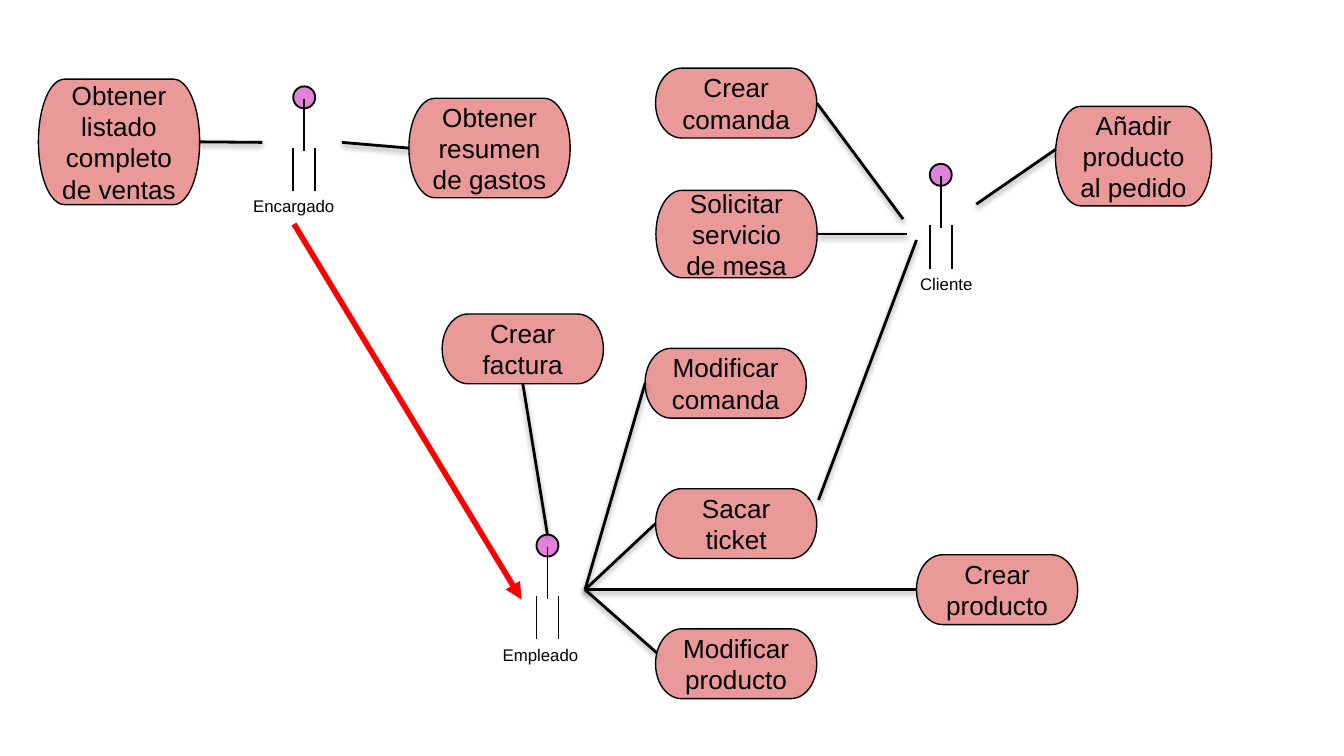
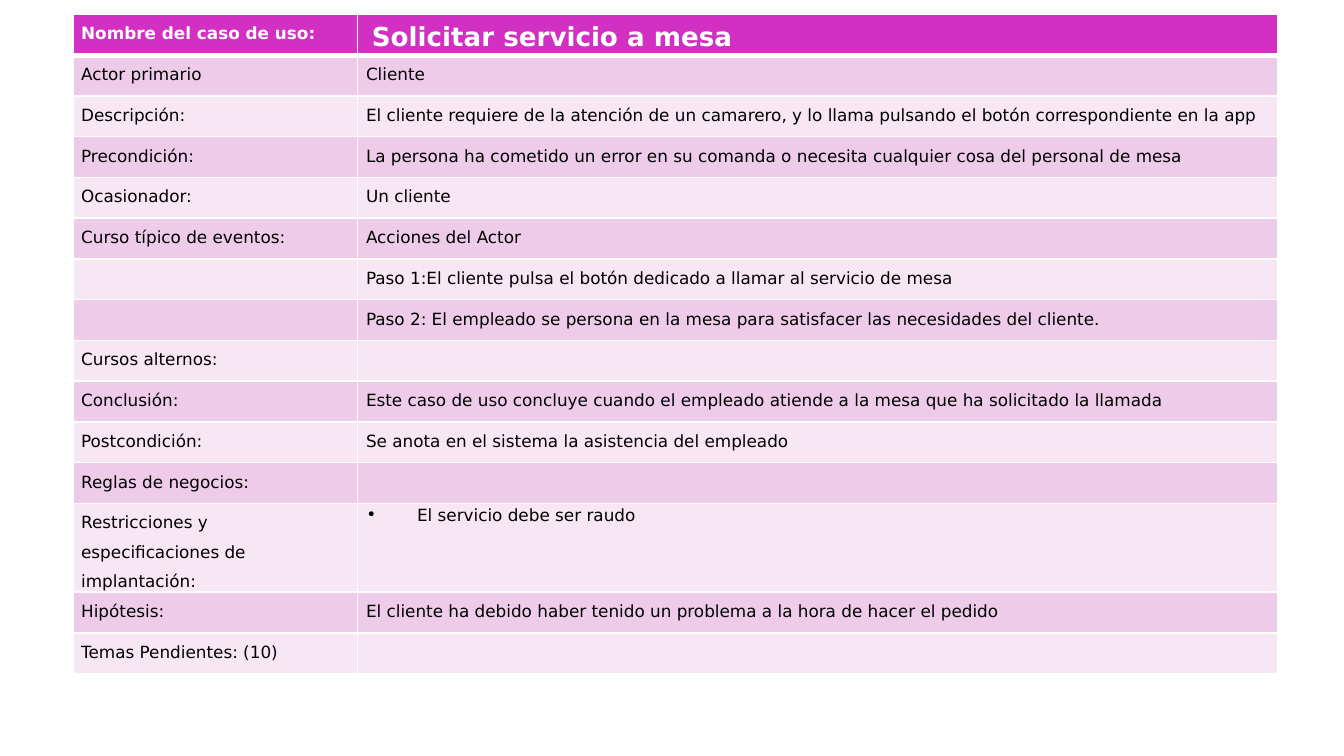
from lxml.etree import SubElement
from pptx import Presentation
from pptx.dml.color import RGBColor
from pptx.enum.shapes import MSO_CONNECTOR, MSO_SHAPE
from pptx.enum.text import MSO_ANCHOR, MSO_AUTO_SIZE, PP_ALIGN
from pptx.oxml.ns import qn
from pptx.util import Pt

COLORS = {
    "ink": "000000", "white": "FFFFFF", "head": "E382DA", "use_case": "EA9999",
    "inherits": "FF0000", "header": "D130C3", "odd": "EECCE9", "even": "F7E7F4",
}
TOP, LEFT, BOTTOM, RIGHT = range(4)


def rgb(name):
    return RGBColor.from_string(COLORS[name])


def points(*lengths):
    return [Pt(length) for length in lengths]


class Deck:
    diagram_font = "Arial"
    table_font = "DejaVu Sans"

    def __init__(self):
        self.prs = Presentation()
        self.prs.slide_width, self.prs.slide_height = points(720, 405)
        self.slide = None

    def new_slide(self):
        self.slide = self.prs.slides.add_slide(self.prs.slide_layouts[6])

    def add_text_run(self, paragraph, text, font, size, color="ink", bold=False):
        run = paragraph.add_run()
        run.text = text
        run.font.name, run.font.size, run.font.bold = font, Pt(size), bold
        run.font.color.rgb = rgb(color)

    def shape(self, kind, box, fill, width, shapes=None):
        shape = (shapes or self.slide.shapes).add_shape(kind, *points(*box))
        shape.shadow.inherit = False
        shape.fill.solid()
        shape.fill.fore_color.rgb = rgb(fill)
        shape.line.color.rgb = rgb("ink")
        shape.line.width = Pt(width)
        return shape

    def line(self, start, end, width=1.5, color="ink", shapes=None,
             shadow=False, arrow=False):
        """Each end is an (x, y) point or a (shape, side) pair."""
        ends = [p if isinstance(p[0], (int, float)) else (0, 0) for p in (start, end)]
        line = (shapes or self.slide.shapes).add_connector(
            MSO_CONNECTOR.STRAIGHT, *points(*ends[0], *ends[1]))
        for target, connect in ((start, line.begin_connect), (end, line.end_connect)):
            if not isinstance(target[0], (int, float)):
                connect(*target)
        line.line.color.rgb = rgb(color)
        line.line.width = Pt(width)
        properties = line._element.spPr
        if arrow:
            SubElement(properties.find(qn("a:ln")), qn("a:tailEnd"), type="triangle")
        effects = SubElement(properties, qn("a:effectLst"))
        if shadow:
            outer = SubElement(effects, qn("a:outerShdw"), blurRad=str(Pt(3.1)),
                               dist=str(Pt(1.6)), dir="5400000", rotWithShape="0")
            tint = SubElement(outer, qn("a:srgbClr"), val=COLORS["ink"])
            SubElement(tint, qn("a:alpha"), val="38000")

    def use_case(self, text, x, y, w=86.4, h=37.4):
        oval = self.shape(MSO_SHAPE.FLOWCHART_TERMINATOR, (x, y, w, h), "use_case", 0.75)
        frame = oval.text_frame
        frame.word_wrap = True
        frame.vertical_anchor = MSO_ANCHOR.MIDDLE
        frame.margin_left = frame.margin_right = Pt(7.2)
        frame.margin_top = frame.margin_bottom = Pt(7.2)
        frame.paragraphs[0].alignment = PP_ALIGN.CENTER
        self.add_text_run(frame.paragraphs[0], text, self.diagram_font, 14)
        return oval

    def text(self, text, box, font, size, color="ink", bold=False,
             align=PP_ALIGN.LEFT, anchor=MSO_ANCHOR.TOP, grow=False, shapes=None):
        frame = (shapes or self.slide.shapes).add_textbox(*points(*box)).text_frame
        frame.word_wrap = True
        frame.vertical_anchor = anchor
        if grow:
            frame.auto_size = MSO_AUTO_SIZE.SHAPE_TO_FIT_TEXT
        frame.paragraphs[0].alignment = align
        self.add_text_run(frame.paragraphs[0], text, font, size, color, bold)

    def actor(self, name, x, y, label_x, label_width):
        """Stick figure centred on x with its head at y; returns the head."""
        parts = self.slide.shapes.add_group_shape().shapes
        head = self.shape(MSO_SHAPE.OVAL, (x - 5.9, y, 11.8, 11.8), "head", 1, parts)
        for dx, top, bottom in ((0, 11.8, 34.6), (0, 6.5, 30.2),
                                (-5.9, 32.8, 56.2), (5.9, 32.8, 56.2)):
            self.line((x + dx, y + top), (x + dx, y + bottom), 1, shapes=parts)
        self.text(name, (label_x, y + 55.2, label_width, 18), self.diagram_font, 9,
                  align=PP_ALIGN.CENTER, grow=True, shapes=parts)
        return head

    def cell(self, cell, text, fill, top=1, bottom=1, header=False, bullet=False):
        cell.margin_left = cell.margin_right = Pt(4.5)
        cell.margin_top = cell.margin_bottom = 0
        properties = cell._tc.get_or_add_tcPr()
        for side, width in (("L", 1), ("R", 1), ("T", top), ("B", bottom)):
            border = SubElement(properties, qn(f"a:ln{side}"), w=str(Pt(width)))
            SubElement(SubElement(border, qn("a:solidFill")), qn("a:srgbClr"),
                       val=COLORS["white"])
        cell.fill.solid()
        cell.fill.fore_color.rgb = rgb(fill)
        paragraph = cell.text_frame.paragraphs[0]
        if not text:
            SubElement(paragraph._p, qn("a:endParaRPr"), sz="900")
            return
        if bullet:
            layout = paragraph._p.get_or_add_pPr()
            layout.set("marL", str(Pt(27.36)))
            layout.set("indent", str(-Pt(27.36)))
            SubElement(SubElement(layout, qn("a:buClr")), qn("a:srgbClr"),
                       val=COLORS["ink"])
            SubElement(layout, qn("a:buChar"), char="∙")
        paragraph.line_spacing = 1.15 if bullet else 1.5
        self.add_text_run(paragraph, text, self.table_font, 9,
                          "white" if header else "ink", header)

    def table(self, rows, x, y, widths, height, tall_rows, bullet_rows):
        heights = [tall_rows.get(i, height) for i in range(len(rows))]
        table = self.slide.shapes.add_table(
            len(rows), len(widths), *points(x, y, sum(widths), sum(heights))).table
        table.first_row = table.horz_banding = False
        for column, width in zip(table.columns, widths):
            column.width = Pt(width)
        for i, texts in enumerate(rows):
            table.rows[i].height = Pt(heights[i])
            fill = "header" if i == 0 else ("odd" if i % 2 else "even")
            for j, text in enumerate(texts):
                self.cell(table.cell(i, j), text, fill, top=3 if i == 1 else 1,
                          bottom=3 if i == 0 else 1, header=i == 0,
                          bullet=j == 1 and i in bullet_rows)


def use_case_diagram(deck):
    deck.new_slide()

    # Actors
    deck.actor("Cliente", 504, 87.8, 482.4, 49)
    deck.actor("Encargado", 163, 46.3, 118.1, 78.5)
    employee_head = deck.actor("Empleado", 293.3, 286.4, 261.4, 56.2)

    # Use cases
    sales_list = deck.use_case("Obtener listado completo de ventas", 20.6, 42.4, h=67.2)
    ticket = deck.use_case("Sacar ticket", 351.2, 261.8)
    invoice = deck.use_case("Crear factura", 236.9, 168.2)
    expenses = deck.use_case("Obtener resumen de gastos", 219.1, 52.7, h=53.3)
    table_service = deck.use_case("Solicitar servicio de mesa", 351.4, 102, h=46.8)
    deck.use_case("Modificar producto", 351.2, 336.9)
    deck.use_case("Añadir producto al pedido", 565.4, 57, 83.7, 53.3)
    new_order = deck.use_case("Crear comanda", 351.2, 36.5)
    new_product = deck.use_case("Crear producto", 491, 297.2)
    edit_order = deck.use_case("Modificar comanda", 345.6, 186.6)

    # Links between actors and use cases
    employee = (313.4, 315.9)
    for start, end in (
        ((140.6, 76.3), (sales_list, RIGHT)),
        ((183.2, 76.3), (expenses, LEFT)),
        ((483.8, 117.4), (new_order, RIGHT)),
        ((486, 125.4), (table_service, RIGHT)),
        ((491, 128.6), (438.5, 267.8)),
        ((565.6, 80), (523, 109.4)),
        ((employee_head, TOP), (invoice, BOTTOM)),
        ((new_product, LEFT), employee),
        (employee, (ticket, LEFT)),
        (employee, (edit_order, LEFT)),
        (employee, (351.8, 349.7)),
    ):
        deck.line(start, end, shadow=True)

    # Inheritance from manager to employee
    deck.line((157.5, 120), (279.4, 321.2), 3, "inherits", arrow=True)


def use_case_sheet(deck):
    deck.new_slide()
    rows = [
        ("Nombre del caso de uso:", ""),
        ("Actor primario", "Cliente"),
        ("Descripción:", "El cliente requiere de la atención de un camarero, y lo llama "
                         "pulsando el botón correspondiente en la app"),
        ("Precondición:", "La persona ha cometido un error en su comanda o necesita "
                          "cualquier cosa del personal de mesa"),
        ("Ocasionador:", "Un cliente"),
        ("Curso típico de eventos:", "Acciones del Actor"),
        ("", "Paso 1:El cliente pulsa el botón dedicado a llamar al servicio de mesa"),
        ("", "Paso 2: El empleado se persona en la mesa para satisfacer las "
             "necesidades del cliente."),
        ("Cursos alternos:", ""),
        ("Conclusión:", "Este caso de uso concluye cuando el empleado atiende a la mesa "
                        "que ha solicitado la llamada"),
        ("Postcondición:", "Se anota en el sistema la asistencia del empleado"),
        ("Reglas de negocios:", ""),
        ("Restricciones y especificaciones de implantación:",
         "El servicio debe ser raudo"),
        ("Hipótesis:", "El cliente ha debido haber tenido un problema a la hora de "
                       "hacer el pedido"),
        ("Temas Pendientes: (10)", ""),
    ]
    deck.table(rows, 39, 7.7, (152.6, 493), 21.85,
               tall_rows={12: 32.4}, bullet_rows={12})

    # Title over the header row
    deck.text("Solicitar servicio a mesa", (192.2, 4.3, 477.4, 29.5), deck.table_font,
              14, "white", True, anchor=MSO_ANCHOR.MIDDLE)


def main():
    deck = Deck()
    use_case_diagram(deck)
    use_case_sheet(deck)
    deck.prs.save("out.pptx")


if __name__ == "__main__":
    main()
